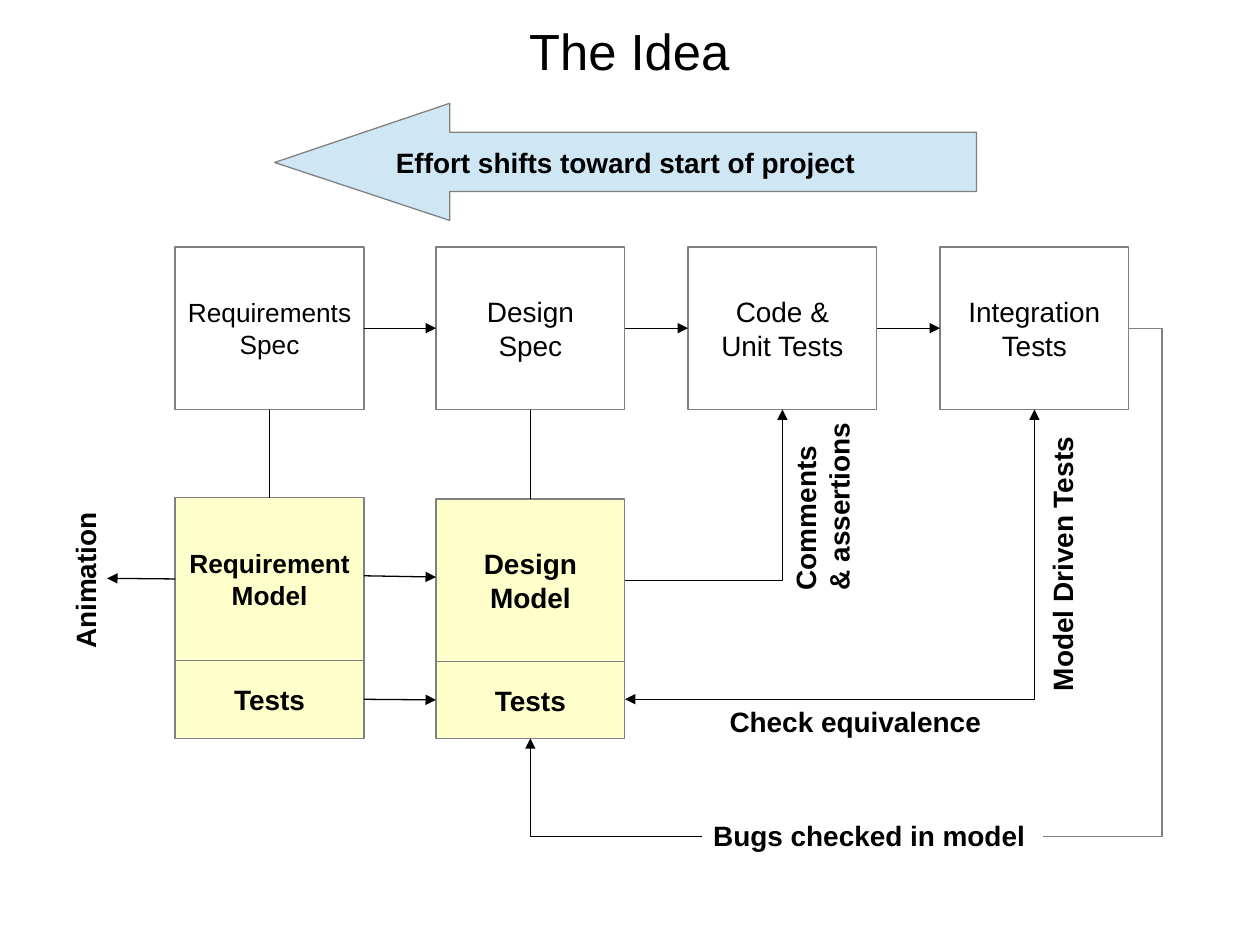
"""Build a slide on shifting project effort toward requirement and design models."""
import pptx
import pptx.util
import pptx.dml.color
import pptx.enum.shapes
import pptx.enum.text
import pptx.oxml.ns
import lxml.etree

Inches = pptx.util.Inches
RGBColor = pptx.dml.color.RGBColor
CONNECTOR = pptx.enum.shapes.MSO_CONNECTOR
ANCHOR = pptx.enum.text.MSO_ANCHOR
ALIGN = pptx.enum.text.PP_ALIGN
qn = pptx.oxml.ns.qn
BLACK = RGBColor(0x00, 0x00, 0x00)
GRAY = RGBColor(0x80, 0x80, 0x80)
YELLOW = RGBColor(0xFF, 0xFF, 0xCC)
BLUE = RGBColor(0xCF, 0xE7, 0xF5)


def write(box, text, size=16, bold=True, align=ALIGN.CENTER, anchor=ANCHOR.MIDDLE, insets=(0.07, 0.03)):
    frame = box.text_frame
    frame.word_wrap = True
    frame.vertical_anchor = anchor
    frame.margin_left = frame.margin_right = Inches(insets[0])
    frame.margin_top = frame.margin_bottom = Inches(insets[1])
    frame.text = text
    for para in frame.paragraphs:
        para.alignment = align
        para.font.name = "Arial"
        para.font.size = pptx.util.Pt(size)
        para.font.bold = bold
        para.font.color.rgb = BLACK


def link(start, end, color=BLACK, preset="line", arrows=("tailEnd",)):
    kind = CONNECTOR.STRAIGHT if preset == "line" else CONNECTOR.ELBOW
    line = page.shapes.add_connector(kind, *[Inches(value) for value in start + end])
    line.line.color.rgb = color
    line.line.width = pptx.util.Pt(0.75)
    properties = line._element.spPr
    properties.find(qn("a:prstGeom")).set("prst", preset)
    for arrow in arrows:
        lxml.etree.SubElement(properties.find(qn("a:ln")), qn("a:" + arrow), type="triangle")
    lxml.etree.SubElement(properties, qn("a:effectLst"))
    return line


deck = pptx.Presentation()
deck.slide_width = Inches(10)
deck.slide_height = Inches(7.5)
page = deck.slides.add_slide(deck.slide_layouts[6])

title = page.shapes.add_textbox(Inches(4.2), Inches(0.05), Inches(1.6), Inches(0.7))
write(title, "The Idea", 29, False, ALIGN.LEFT, insets=(0, 0))
title.text_frame.word_wrap = False

outline = [(7.75, 1.05), (3.57, 1.05), (3.57, 0.82), (2.18, 1.29), (3.57, 1.75), (3.57, 1.52), (7.75, 1.52)]
corners = [(Inches(x), Inches(y)) for x, y in outline]
builder = page.shapes.build_freeform(*corners[0])
builder.add_line_segments(corners[1:], close=True)
effort = builder.convert_to_shape()
effort.shadow.inherit = False
effort.fill.solid()
effort.fill.fore_color.rgb = BLUE
effort.line.color.rgb = GRAY
effort.line.width = pptx.util.Pt(0.75)
write(effort, "Effort shifts toward start of project", insets=(0.09, 0.04))

boxes = {}
for name, text, left, top, height, size, fill in [
    ("requirements", "Requirements\nSpec", 1.39, 1.96, 1.29, 15, None),
    ("design", "Design\nSpec", 3.46, 1.96, 1.29, 16, None),
    ("code", "Code &\nUnit Tests", 5.46, 1.96, 1.29, 16, None),
    ("integration", "Integration\nTests", 7.46, 1.96, 1.29, 16, None),
    ("requirement model", "Requirement\nModel", 1.39, 3.95, 1.29, 15, YELLOW),
    ("design model", "Design\nModel", 3.46, 3.96, 1.29, 16, YELLOW),
    ("requirement tests", "Tests", 1.39, 5.24, 0.62, 16, YELLOW),
    ("design tests", "Tests", 3.46, 5.25, 0.61, 16, YELLOW),
]:
    box = page.shapes.add_shape(pptx.enum.shapes.MSO_SHAPE.RECTANGLE,
                                Inches(left), Inches(top), Inches(1.5), Inches(height))
    box.shadow.inherit = False
    if fill is None:
        box.fill.background()
    else:
        box.fill.solid()
        box.fill.fore_color.rgb = fill
    box.line.color.rgb = GRAY
    box.line.width = pptx.util.Pt(0.75)
    write(box, text, size, fill is not None)
    boxes[name] = box

for first, second, sites, arrows in [
    ("requirements", "design", (3, 1), ("tailEnd",)),
    ("design", "code", (3, 1), ("tailEnd",)),
    ("code", "integration", (3, 1), ("tailEnd",)),
    ("requirement tests", "design tests", (3, 1), ("tailEnd",)),
    ("requirements", "requirement model", (2, 0), ()),
    ("design", "design model", (2, 0), ()),
]:
    line = link((0, 0), (1, 1), arrows=arrows)
    line.begin_connect(boxes[first], sites[0])
    line.end_connect(boxes[second], sites[1])

animation = link((1.39, 4.6), (0.85, 4.59))
animation.begin_connect(boxes["requirement model"], 1)
link((2.89, 4.57), (3.46, 4.58))

link((4.96, 5.55), (8.21, 3.25), preset="bentConnector2", arrows=("headEnd", "tailEnd"))
link((4.96, 4.61), (6.21, 3.25), preset="bentConnector2")
link((5.57, 6.64), (4.21, 5.86), preset="bentConnector2")
bugs = link((8.96, 2.61), (8.28, 6.64), GRAY, "bentConnector3", ())
geometry = bugs._element.spPr.find(qn("a:prstGeom"))
guides = geometry.find(qn("a:avLst"))
if guides is None:
    guides = lxml.etree.SubElement(geometry, qn("a:avLst"))
lxml.etree.SubElement(guides, qn("a:gd"), name="adj1", fmla="val -38600")

for text, left, top, width, height, rotation in [
    ("Animation", 0.03, 4.42, 1.29, 0.35, 270),
    ("Model Driven Tests", 7.3, 4.27, 2.26, 0.35, 270),
    ("Comments\n& assertions", 5.78, 3.65, 1.56, 0.69, 270),
    ("Bugs checked in model", 5.57, 6.46, 2.71, 0.35, 0),
    ("Check equivalence", 5.7, 5.55, 2.22, 0.35, 0),
]:
    label = page.shapes.add_textbox(Inches(left), Inches(top), Inches(width), Inches(height))
    label.rotation = rotation
    write(label, text, align=ALIGN.LEFT, anchor=ANCHOR.TOP, insets=(0.09, 0.04))

deck.save("out.pptx")
